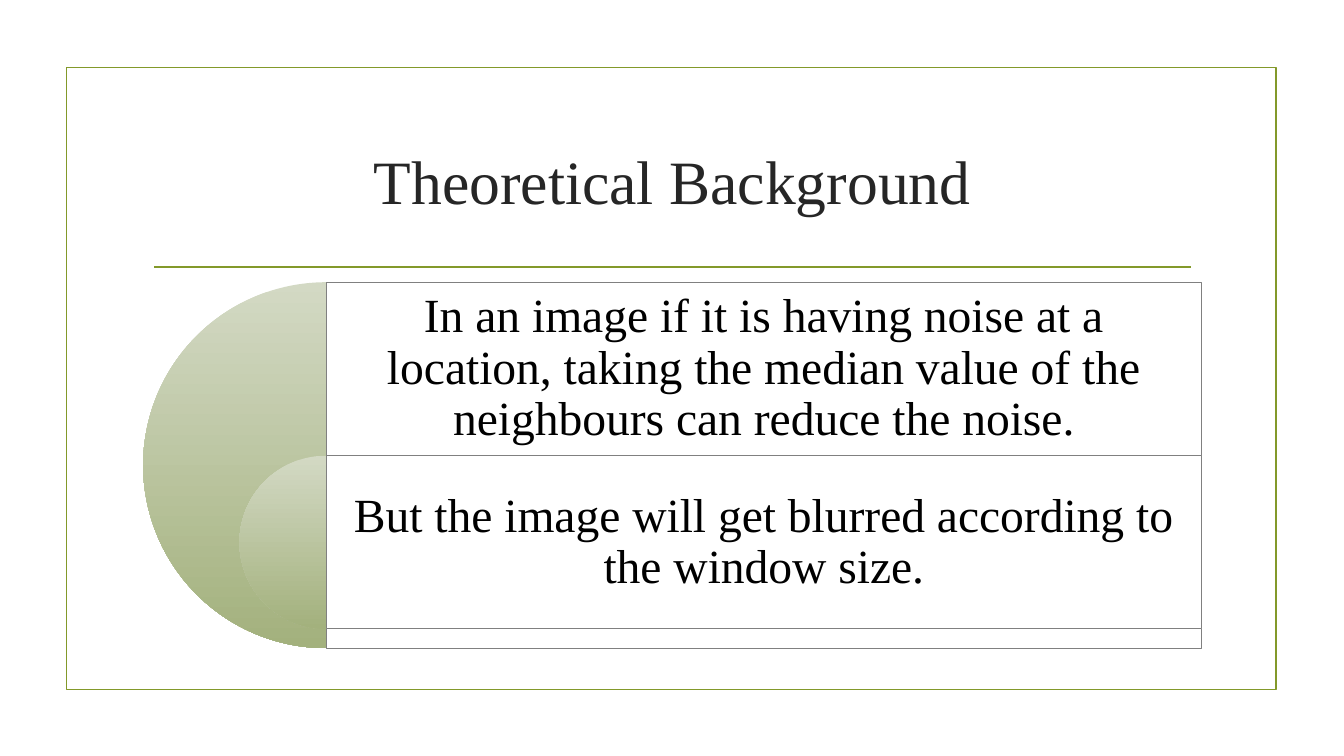
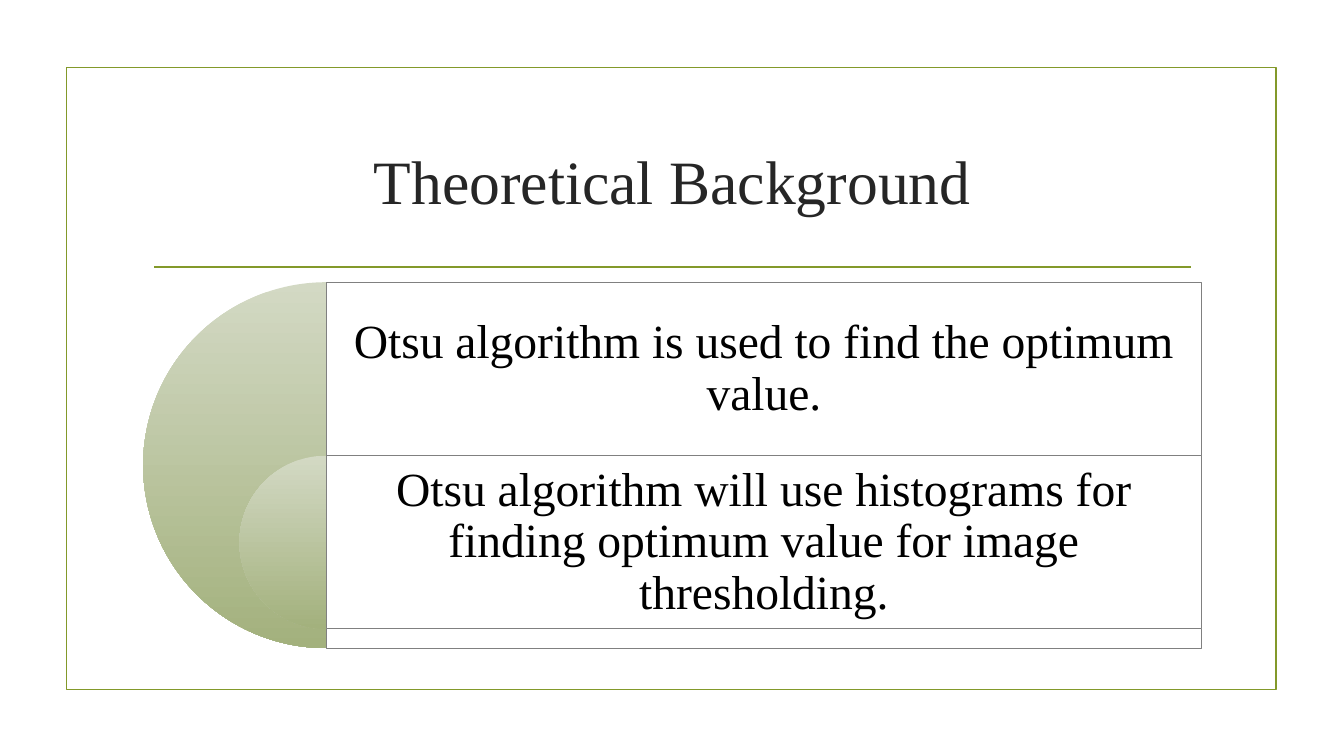
"""Build two framed slides that pair half discs with stacked statements."""
from lxml import etree
from pptx import Presentation
from pptx.dml.color import RGBColor
from pptx.enum import shapes, text
from pptx.util import Inches, Pt

OLIVE = RGBColor(0x83, 0x99, 0x2A)
GREY = RGBColor(0x80, 0x80, 0x80)
PALE = RGBColor(0xD3, 0xD9, 0xC4)
MOSS = RGBColor(0xA3, 0xB1, 0x7D)
WHITE = RGBColor(0xFF, 0xFF, 0xFF)
BLACK = RGBColor(0, 0, 0)
INK = RGBColor(0x26, 0x26, 0x26)
FONT = "Times New Roman"
WIDE, HIGH = 13.33, 7.5
LEFT, SPAN = 1.42, 10.5
TOP, DISC, ROW = 2.8, 3.63, 1.72
AXIS = LEFT + DISC / 2
TITLE = "Theoretical Background"
PAGES = [
    ["In an image if it is having noise at a location, taking the median "
     "value of the neighbours can reduce the noise.",
     "But the image will get blurred according to the window size."],
    ["Otsu algorithm is used to find the optimum value.",
     "Otsu algorithm will use histograms for finding optimum value for "
     "image thresholding."],
]


def draw(slide, kind, *box):
    shape = slide.shapes.add_shape(kind, *map(Inches, box))
    shape.shadow.inherit = False
    return shape


def write(slide, words, size, color, pad, *box):
    frame = slide.shapes.add_textbox(*map(Inches, box)).text_frame
    frame.word_wrap = True
    frame.vertical_anchor = text.MSO_ANCHOR.MIDDLE
    frame.margin_left = frame.margin_right = Inches(pad)
    frame.margin_top = frame.margin_bottom = Inches(pad)
    para = frame.paragraphs[0]
    para.text = words
    para.alignment = text.PP_ALIGN.CENTER
    para.font.name, para.font.size = FONT, Pt(size)
    para.font.color.rgb = color
    return para


deck = Presentation()
deck.slide_width, deck.slide_height = Inches(WIDE), Inches(HIGH)

for points in PAGES:
    slide = deck.slides.add_slide(deck.slide_layouts[6])
    edge = draw(slide, shapes.MSO_SHAPE.RECTANGLE, 0.66, 0.67, 12, 6.17)
    edge.fill.background()
    rule = slide.shapes.add_connector(
        shapes.MSO_CONNECTOR.STRAIGHT,
        *map(Inches, (1.53, 2.65, 11.81, 2.65)))
    etree.SubElement(
        rule._element.spPr,
        "{http://schemas.openxmlformats.org/drawingml/2006/main}effectLst")
    for item in (edge, rule):
        item.line.color.rgb = OLIVE
        item.line.width = Pt(1.25)
    write(slide, TITLE, 44, INK, 0.1, LEFT, 1.07, SPAN, 1.43)

    for row, words in enumerate(points):
        top = TOP + row * ROW
        size = (DISC, ROW)[row]
        pie = draw(slide, shapes.MSO_SHAPE.PIE,
                   AXIS - size / 2, top, size, size)
        pie.adjustments[0], pie.adjustments[1] = 54, 162
        pie.line.fill.background()
        pie.fill.gradient()
        pie.fill.gradient_angle = 270
        for stop, color, place in zip(pie.fill.gradient_stops,
                                      (PALE, MOSS), (0, 1)):
            stop.color.rgb = color
            stop.position = place
        panel = draw(slide, shapes.MSO_SHAPE.RECTANGLE,
                     AXIS, top, LEFT + SPAN - AXIS, size)
        panel.fill.solid()
        panel.fill.fore_color.rgb = WHITE
        panel.line.color.rgb = GREY
        panel.line.width = Pt(0.75)
        para = write(slide, words, 34, BLACK, 0.14,
                     AXIS, top, LEFT + SPAN - AXIS, ROW)
        para.line_spacing = 0.9

deck.save("out.pptx")
